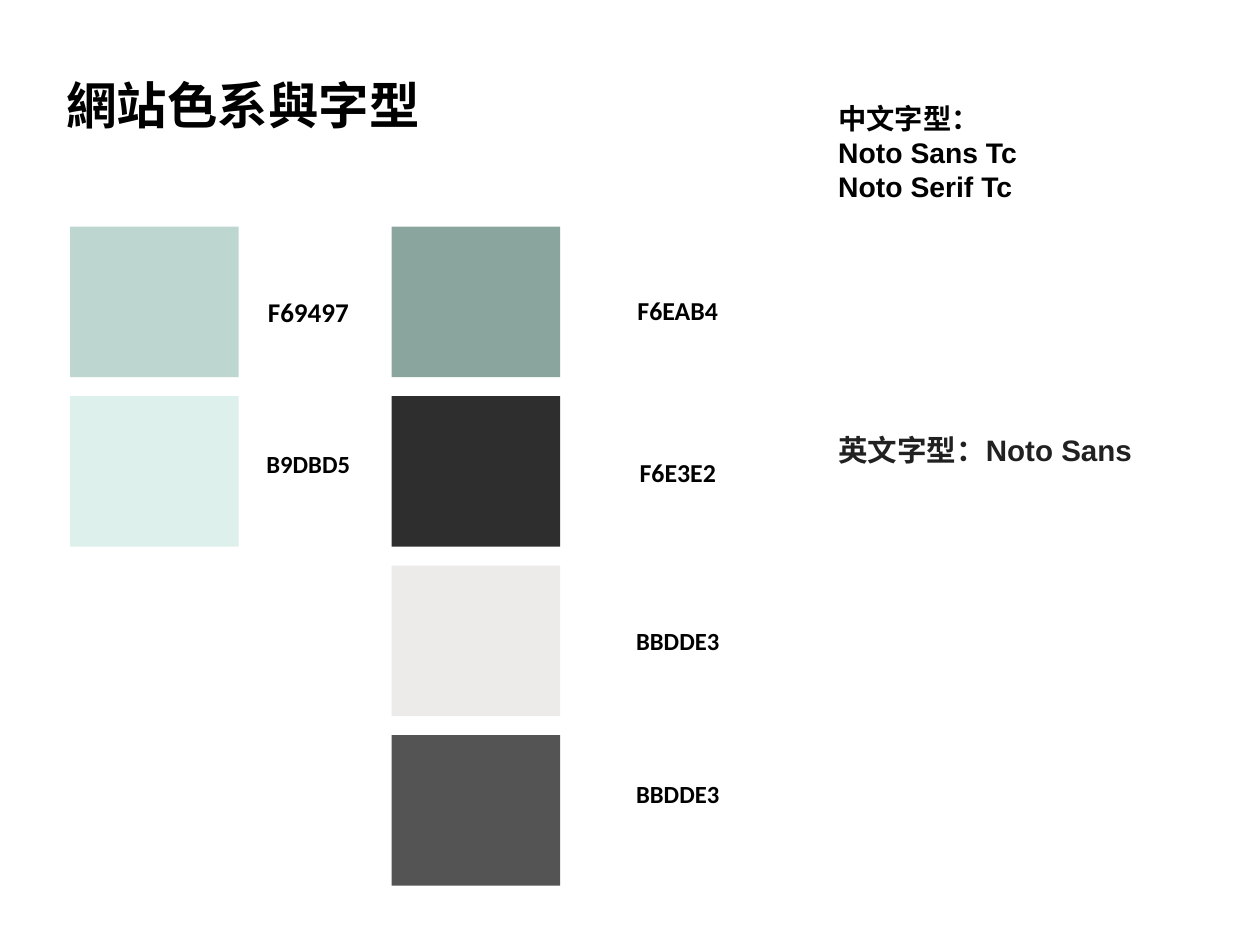
"""Build the slide that shows the colours and fonts of a website."""
from pptx import Presentation
from pptx import util as u
from pptx.dml.color import RGBColor
from pptx.enum import shapes, text

BLACK = RGBColor(0x00, 0x00, 0x00)
INK = RGBColor(0x21, 0x21, 0x21)
MINT = RGBColor(0xBD, 0xD6, 0xCF)
PALE = RGBColor(0xDD, 0xF0, 0xEB)
SAGE = RGBColor(0x8A, 0xA5, 0x9D)
COAL = RGBColor(0x2E, 0x2E, 0x2E)
CLOUD = RGBColor(0xED, 0xEA, 0xEA)
STONE = RGBColor(0x55, 0x54, 0x54)

TOP, PITCH = 6.5, 4.86
WIDE, HIGH = 4.83, 4.32
COLUMNS = [
    (2.01, 8.84, [(MINT, "F69497", 8.93, 22), (PALE, "B9DBD5", 13.31, 20)]),
    (11.23, 19.43, [(SAGE, "F6EAB4", 8.9, 21), (COAL, "F6E3E2", 13.55, 21),
                    (CLOUD, "BBDDE3", 18.36, 20), (STONE, "BBDDE3", 22.76, 20)]),
]


def style(para, size, face="Arial", color=BLACK):
    for run in para.runs:
        font = run.font
        font.name, font.size, font.bold = face, u.Pt(size), True
        font.color.rgb = color


def frame(shape, wrap):
    body = shape.text_frame
    body.word_wrap = wrap
    body.auto_size = text.MSO_AUTO_SIZE.NONE
    body.vertical_anchor = text.MSO_ANCHOR.MIDDLE
    body.margin_left = body.margin_right = u.Cm(0.15)
    body.margin_top = body.margin_bottom = u.Cm(0.15)
    return body


def title(slide):
    shape = slide.shapes.title
    shape.left, shape.top = u.Cm(1.75), u.Cm(1.85)
    shape.width, shape.height = u.Cm(10.44), u.Cm(2.29)
    body = frame(shape, False)
    body.text = "網站色系與字型"
    para = body.paragraphs[0]
    para.alignment = text.PP_ALIGN.CENTER
    style(para, 41)


def swatch(slide, left, top, color):
    box = slide.shapes.add_shape(shapes.MSO_SHAPE.RECTANGLE, u.Cm(left),
                                 u.Cm(top), u.Cm(WIDE), u.Cm(HIGH))
    box.shadow.inherit = False
    box.fill.solid()
    box.fill.fore_color.rgb = color
    box.line.fill.background()


def label(slide, mid, level, code, size):
    wide, high = 2.7, 1.2
    box = slide.shapes.add_textbox(u.Cm(mid - wide / 2), u.Cm(level - high / 2),
                                   u.Cm(wide), u.Cm(high))
    body = frame(box, False)
    body.text = code
    para = body.paragraphs[0]
    para.alignment = text.PP_ALIGN.CENTER
    style(para, size, "Calibri")


def fonts(slide):
    box = slide.shapes.add_textbox(u.Cm(23.88), u.Cm(4.9), u.Cm(10.16), u.Cm(6.53))
    body = frame(box, True)
    body.text = "中文字型：\nNoto Sans Tc\nNoto Serif Tc\n英文字型：Noto Sans"
    *first, last = body.paragraphs
    for para in first:
        style(para, 23)
    last.space_before, last.line_spacing = u.Pt(133), u.Pt(82)
    style(last, 24, color=INK)


def main():
    deck = Presentation()
    deck.slide_width, deck.slide_height = u.Cm(36.12), u.Cm(27.1)
    slide = deck.slides.add_slide(deck.slide_layouts.get_by_name("Title Only"))
    title(slide)
    for left, mid, cells in COLUMNS:
        for row, (color, code, level, size) in enumerate(cells):
            swatch(slide, left, TOP + row * PITCH, color)
            label(slide, mid, level, code, size)
    fonts(slide)
    deck.save("out.pptx")


if __name__ == "__main__":
    main()
